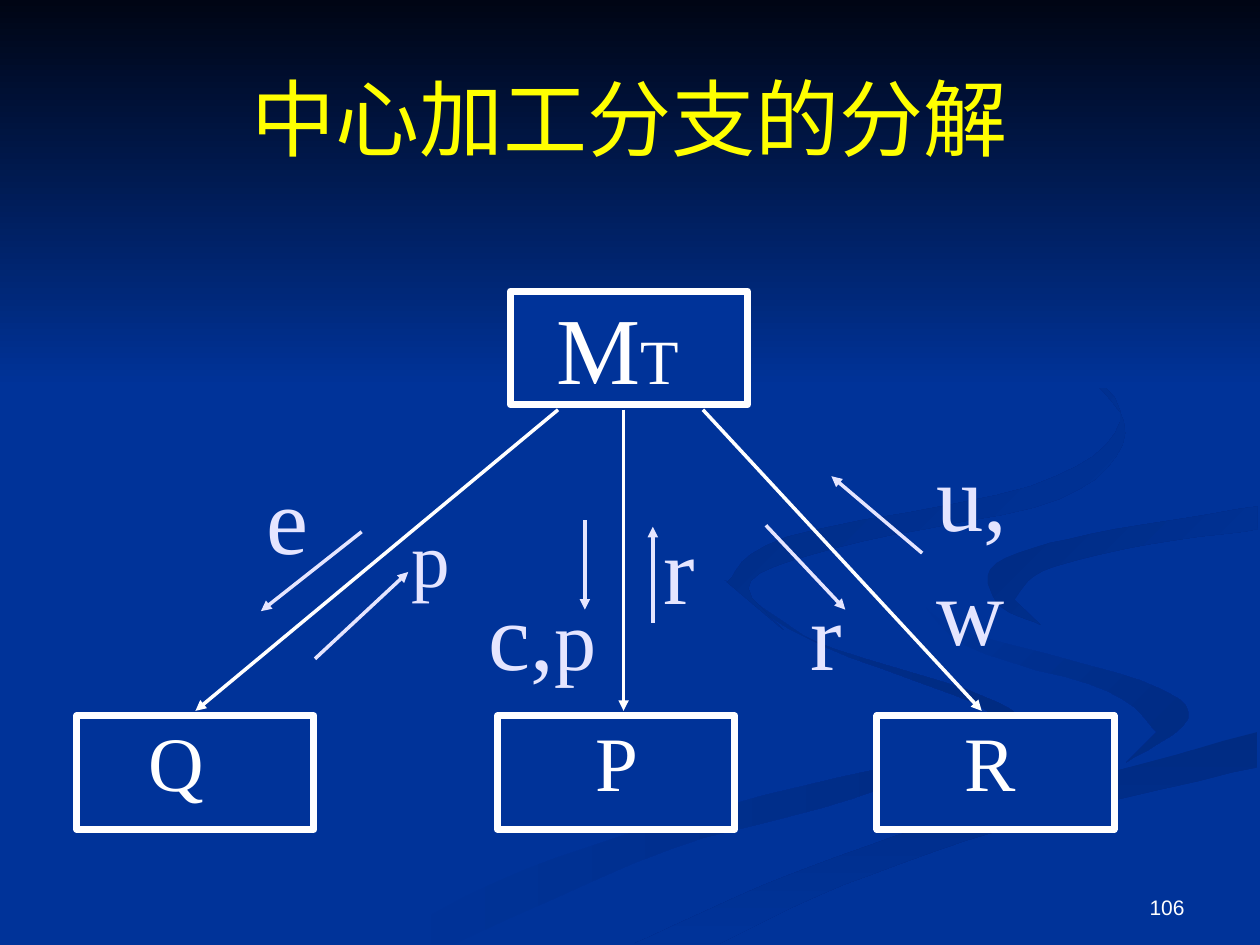
"""Builds the slide on splitting the central transform branch into modules."""
from dataclasses import dataclass

from lxml.etree import SubElement
from pptx import Presentation
from pptx.dml.color import RGBColor
from pptx.enum.shapes import MSO_CONNECTOR, MSO_SHAPE
from pptx.enum.text import MSO_ANCHOR, MSO_AUTO_SIZE, PP_ALIGN
from pptx.oxml.ns import qn
from pptx.util import Cm, Pt


@dataclass
class Theme:
    blue: str = "003399"
    night: str = "000514"
    dusk: str = "002B82"
    white: str = "FFFFFF"
    pale: str = "E5E5FF"
    gold: str = "FFFF00"
    serif: str = "Times New Roman"
    sans: str = "Arial"
    hans: str = "Noto Sans CJK SC"
    huge: int = 54
    head: int = 48
    large: int = 44
    sub: int = 36
    note: int = 12


def write(place, parts, face, tone):
    box = slide.shapes.add_textbox(*map(Cm, place))
    para = box.text_frame.paragraphs[0]
    base = parts[0][1]
    for words, size in parts:
        run = para.add_run()
        run.text = words
        if size != base:
            run.font.size = Pt(size)
    para.font.name = face
    para.font.size = Pt(base)
    para.font.color.rgb = RGBColor.from_string(tone)
    return box.text_frame


def shade(shape, tones, angle):
    shape.shadow.inherit = False
    shape.line.fill.background()
    shape.fill.gradient()
    shape.fill.gradient_angle = -angle % 360
    for place, (stop, tone) in enumerate(zip(shape.fill.gradient_stops, tones)):
        stop.color.rgb = RGBColor.from_string(tone)
        stop.position = place


look = Theme()
deck = Presentation()
deck.slide_width, deck.slide_height = Cm(25.4), Cm(19.05)
slide = deck.slides.add_slide(deck.slide_layouts[6])
slide.background.fill.solid()
slide.background.fill.fore_color.rgb = RGBColor.from_string(look.blue)

fade, dawn = (look.blue, look.dusk), (look.dusk, look.blue)
waves = [
    (fade, 0,
     [(575, 460), (642, 507), (781, 553), (800, 581), (676, 634), (532, 674), (361, 749)],
     [(300, 749), (417, 690), (579, 639), (739, 598), (786, 566), (654, 513), (575, 460)]),
    (fade, 45,
     [(724, 464), (758, 498), (905, 540), (943, 570), (894, 605)],
     [(918, 581), (880, 549), (766, 512), (724, 464)]),
    (dawn, 90,
     [(998, 581), (764, 647), (630, 693), (503, 749)],
     [(571, 749), (670, 702), (821, 651), (998, 609)]),
    (dawn, 45,
     [(998, 402), (865, 424), (791, 447), (791, 478), (826, 496)],
     [(805, 476), (828, 453), (896, 435), (998, 420)]),
    (dawn, 45,
     [(762, 233), (854, 291), (893, 344), (841, 396), (683, 430), (596, 461), (622, 500)],
     [(577, 462), (625, 426), (818, 386), (889, 335), (846, 279), (762, 233)]),
]
steps = 6
for tones, angle, *edges in waves:
    path = []
    for edge in edges:
        knots = edge[:1] + edge + edge[-1:]
        for quad in zip(knots, knots[1:], knots[2:], knots[3:]):
            for step in range(steps):
                t = step / steps
                path.append([
                    b + t * (c - a + t * (2 * a - 5 * b + 4 * c - d + t * (3 * b - a - 3 * c + d))) / 2
                    for a, b, c, d in zip(*quad)])
        path.append(edge[-1])
    pen = slide.shapes.build_freeform(*path[0], scale=Cm(2.54) / 100)
    pen.add_line_segments(path[1:], close=True)
    shade(pen.convert_to_shape(), tones, angle)

sky = slide.shapes.add_shape(MSO_SHAPE.RECTANGLE, 0, 0, deck.slide_width, Cm(7.82))
shade(sky, (look.night, look.blue), 90)

page = write((18.21, 17.35, 5.92, 1.32), [("106", look.note)], look.sans, look.white)
page.word_wrap = True
page.vertical_anchor = MSO_ANCHOR.BOTTOM
page.paragraphs[0].alignment = PP_ALIGN.RIGHT

title = write((1.27, 0.76, 22.86, 3.18), [("中心加工分支的分解", look.head)], look.hans, look.gold)
title.word_wrap = True
title.vertical_anchor = MSO_ANCHOR.MIDDLE
title.paragraphs[0].alignment = PP_ALIGN.CENTER
for latin in list(title.paragraphs[0]._p.iter(qn("a:latin"))):
    SubElement(latin.getparent(), qn("a:ea"), typeface=look.hans)

for left, top in [(10.29, 5.87), (10.03, 14.43), (1.55, 14.43), (17.68, 14.43)]:
    box = slide.shapes.add_shape(MSO_SHAPE.RECTANGLE, Cm(left), Cm(top), Cm(4.78), Cm(2.29))
    box.shadow.inherit = False
    box.fill.solid()
    box.fill.fore_color.rgb = RGBColor.from_string(look.blue)
    box.line.color.rgb = RGBColor.from_string(look.white)
    box.line.width = Pt(4)

labels = [
    (10.97, 5.72, 2.97, look.white, [("M", look.huge), ("T", look.sub)]),
    (11.76, 14.27, 1.37, look.white, [("P", look.large)]),
    (2.74, 14.27, 1.63, look.white, [("Q", look.large)]),
    (19.2, 14.27, 1.55, look.white, [("R", look.large)]),
    (5.13, 9.14, 1.35, look.pale, [("e", look.huge)]),
    (9.6, 11.48, 2.67, look.pale, [("c,", look.huge), ("p", look.head)]),
    (13.13, 10.16, 1.14, look.pale, [("r", look.huge)]),
    (18.62, 8.69, 3.3, look.pale, [("u,w", look.huge)]),
    (8.05, 10.16, 1.27, look.pale, [("p", look.large)]),
    (16.08, 11.48, 1.14, look.pale, [("r", look.huge)]),
]
for left, top, width, tone, parts in labels:
    high = 2.54 if parts[0][1] == look.huge else 2.11
    frame = write((left, top, width, high), parts, look.serif, tone)
    frame.word_wrap = False
    frame.auto_size = MSO_AUTO_SIZE.SHAPE_TO_FIT_TEXT

calls = [(start, 8.26, end, 14.33) for start, end in [(12.57, 12.57), (14.17, 19.79), (11.25, 3.94)]]
flows = [
    (7.29, 10.72, 5.26, 12.32), (11.79, 10.49, 11.79, 12.29), (13.16, 12.55, 13.16, 10.62),
    (18.59, 11.15, 16.76, 9.6), (6.35, 13.28, 8.23, 11.53), (15.44, 10.59, 17.04, 12.29),
]
for tone, group in [(look.white, calls), (look.pale, flows)]:
    for ends in group:
        link = slide.shapes.add_connector(MSO_CONNECTOR.STRAIGHT, *map(Cm, ends))
        link.line.color.rgb = RGBColor.from_string(tone)
        link.line.width = Pt(2)
        SubElement(link.line._get_or_add_ln(), qn("a:tailEnd"), type="triangle")
        SubElement(link._element.spPr, qn("a:effectLst"))

deck.save("out.pptx")
